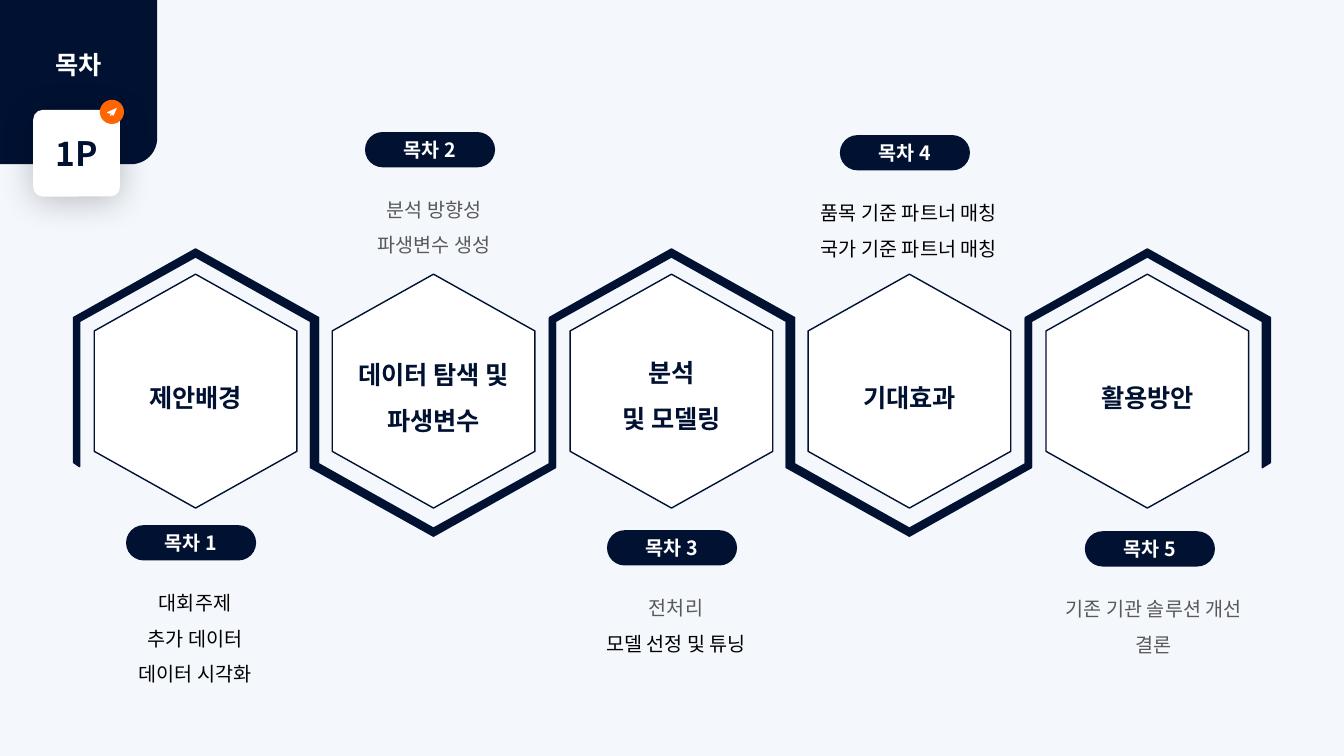
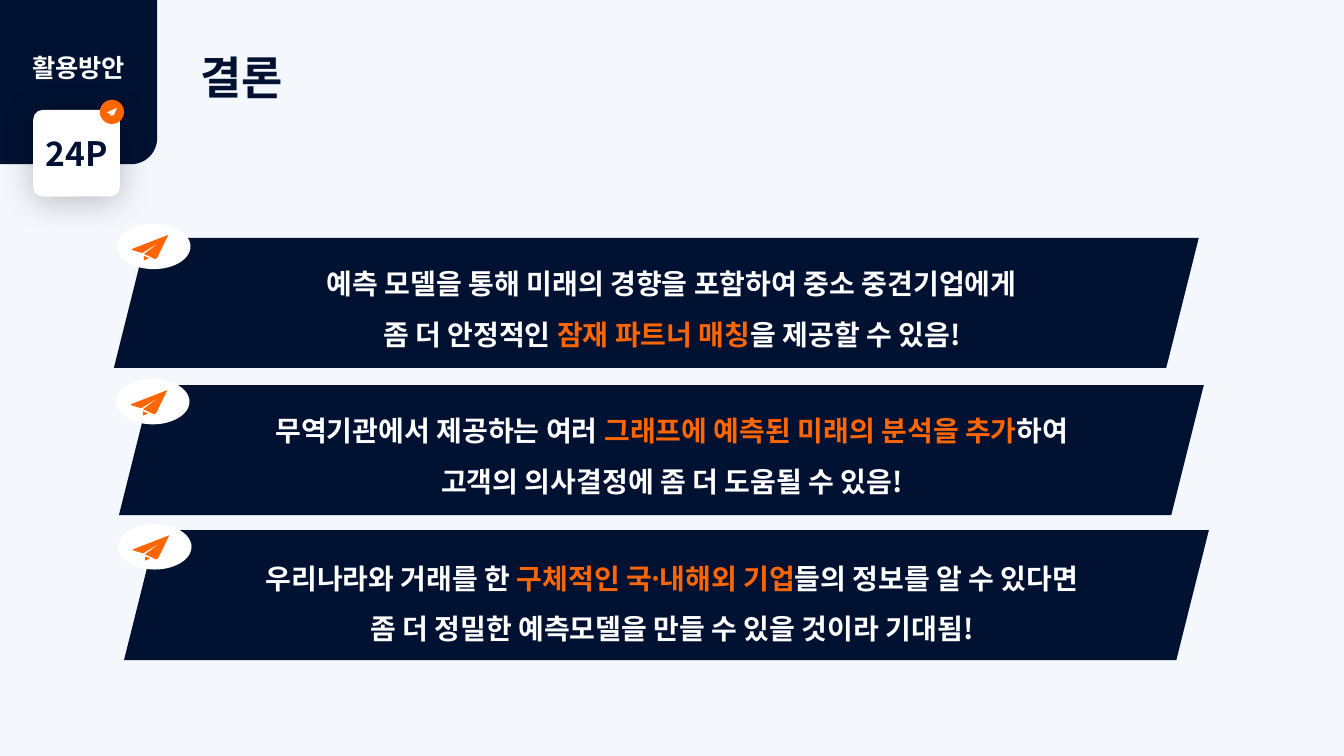
from lxml.etree import SubElement
from pptx import Presentation
from pptx.dml.color import RGBColor
from pptx.enum.shapes import MSO_SHAPE
from pptx.enum.text import MSO_ANCHOR, MSO_AUTO_SIZE, PP_ALIGN
from pptx.oxml.ns import qn
from pptx.util import Inches, Pt

COLORS = {
    "background": "F4F7FC",
    "navy": "011132",
    "orange": "FF6600",
    "white": "FFFFFF",
    "black": "000000",
    "gray": "595959",
}
FONT = "Noto Sans CJK KR"

# Agenda geometry
FIRST_CENTER, PITCH = 1.94, 2.36
HEXAGON_WIDTH, HEXAGON_HEIGHT, HEXAGON_MIDDLE = 2.32, 2.01, 3.88
UPPER_APEX, LOWER_APEX = 2.47, 5.32
FRAME_OUTLINE = [
    (0, 0), (1.22, 0.68), (1.22, 2.12), (1.14, 2.17), (1.14, 0.72),
    (0, 0.08), (-1.15, 0.72), (-1.15, 2.16), (-1.21, 2.12), (-1.21, 0.68),
]

# Paper plane outlines, as fractions of its box
PLANE_TAIL = [(0.33, 0.84), (0.47, 0.92), (0.36, 1), (0.33, 1)]
PLANE_WINGS = [
    (1, 0), (0.69, 0.92), (0.64, 0.96), (0.33, 0.76),
    (0.78, 0.28), (0.28, 0.72), (0, 0.6), (0, 0.56),
]

# Heading, top of heading, (left, top) of pill, items, colours of items
AGENDA = [
    (["제안배경"], 3.59, (1.25, 5.21),
     ["대회주제", "추가 데이터", "데이터 시각화"], ["black"] * 3),
    (["데이터 탐색 및 파생변수"], 3.37, (3.62, 1.31),
     ["분석 방향성", "파생변수 생성"], ["gray"] * 2),
    (["분석", "및 모델링"], 3.35, (6.02, 5.26),
     ["전처리", "모델 선정 및 튜닝"], ["gray", "black"]),
    (["기대효과"], 3.59, (8.33, 1.34),
     ["품목 기준 파트너 매칭", "국가 기준 파트너 매칭"], ["black"] * 2),
    (["활용방안"], 3.59, (10.76, 5.27),
     ["기존 기관 솔루션 개선", "결론"], ["gray"] * 2),
]

# (left, top) of banner, (left, top) of badge, top of text, lines
CONCLUSIONS = [
    ((1.13, 2.36), (1.16, 2.22), 2.43, [
        "예측 모델을 통해 미래의 경향을 포함하여 중소 중견기업에게",
        [("좀 더 안정적인 ", "white"), ("잠재 파트너 매칭", "orange"),
         ("을 제공할 수 있음!", "white")],
    ]),
    ((1.18, 3.82), (1.15, 3.76), 3.89, [
        [("무역기관에서 제공하는 여러 ", "white"),
         ("그래프에 예측된 미래의 분석을 추가", "orange"), ("하여", "white")],
        "고객의 의사결정에 좀 더 도움될 수 있음!",
    ]),
    ((1.23, 5.26), (1.17, 5.2), 5.35, [
        [("우리나라와 거래를 한 ", "white"),
         ("구체적인 국내〮해외 기업", "orange"),
         ("들의 정보를 알 수 있다면", "white")],
        "좀 더 정밀한 예측모델을 만들 수 있을 것이라 기대됨!",
    ]),
]


def rgb(name):
    return RGBColor.from_string(COLORS[name])


def write_lines(frame, lines, size, color, bold=True,
                align=PP_ALIGN.CENTER, spacing=None):
    """Write one paragraph per line; a line is a string or coloured runs."""
    for number, line in enumerate(lines):
        paragraph = frame.paragraphs[0] if number == 0 else frame.add_paragraph()
        paragraph.alignment = align
        if spacing:
            paragraph.line_spacing = spacing
        font = paragraph.font
        font.name, font.size, font.bold = FONT, Pt(size), bold
        font.color.rgb = rgb(color)
        # Korean glyphs take the East Asian typeface
        defaults = paragraph._p.get_or_add_pPr().find(qn("a:defRPr"))
        SubElement(defaults, qn("a:ea"), typeface=FONT)
        if isinstance(line, str):
            paragraph.add_run().text = line
            continue
        for text, run_color in line:
            run = paragraph.add_run()
            run.text = text
            run.font.color.rgb = rgb(run_color)


def paint(shape, fill, line=None):
    shape.shadow.inherit = False
    shape.fill.solid()
    shape.fill.fore_color.rgb = rgb(fill)
    if line:
        shape.line.color.rgb = rgb(line)
        shape.line.width = Pt(1)
    else:
        shape.line.fill.background()
    return shape


def add_block(slide, kind, left, top, width, height, fill, line=None):
    shape = slide.shapes.add_shape(
        kind, Inches(left), Inches(top), Inches(width), Inches(height))
    return paint(shape, fill, line)


def add_text(slide, left, top, width, height, lines, size, color, **style):
    box = slide.shapes.add_textbox(
        Inches(left), Inches(top), Inches(width), Inches(height))
    box.text_frame.word_wrap = True
    write_lines(box.text_frame, lines, size, color, **style)


def add_outline(slide, contours, fill, line=None):
    builder = None
    for contour in contours:
        start, *rest = [(Inches(x), Inches(y)) for x, y in contour]
        if builder is None:
            builder = slide.shapes.build_freeform(*start)
        else:
            builder.move_to(*start)
        builder.add_line_segments(rest, close=True)
    return paint(builder.convert_to_shape(), fill, line)


def add_plane(slide, left, top, width, height, fill):
    contours = [[(left + x * width, top + y * height) for x, y in part]
                for part in (PLANE_TAIL, PLANE_WINGS)]
    add_outline(slide, contours, fill)


def add_soft_shadow(shape):
    effects = shape.element.spPr.find(qn("a:effectLst"))
    shadow = SubElement(effects, qn("a:outerShdw"), blurRad=str(Pt(25)),
                        dist=str(Pt(3)), dir="5400000", algn="t",
                        rotWithShape="0")
    shade = SubElement(shadow, qn("a:srgbClr"), val=COLORS["black"])
    SubElement(shade, qn("a:alpha"), val="24000")


def place_title(slide, left, top, width, height, text, size, color, **style):
    title = slide.shapes.title
    title.left, title.top = Inches(left), Inches(top)
    title.width, title.height = Inches(width), Inches(height)
    frame = title.text_frame
    frame.auto_size = MSO_AUTO_SIZE.NONE
    frame.vertical_anchor = MSO_ANCHOR.TOP
    write_lines(frame, [text], size, color, **style)
    # Bring the title in front of the corner panel
    title.element.getparent().append(title.element)


def add_corner(slide, page):
    """Navy corner panel with the page tile and its orange badge."""
    panel = add_block(slide, MSO_SHAPE.ROUND_1_RECTANGLE, 0, 0, 1.56, 1.63, "navy")
    panel.element.spPr.xfrm.set("flipV", "1")
    tile = add_block(slide, MSO_SHAPE.ROUNDED_RECTANGLE,
                     0.33, 1.09, 0.86, 0.86, "white")
    tile.adjustments[0] = 0.11
    add_soft_shadow(tile)
    tile.text_frame.word_wrap = False
    write_lines(tile.text_frame, [page], 24, "navy")
    add_block(slide, MSO_SHAPE.OVAL, 0.99, 0.99, 0.24, 0.24, "orange")
    add_plane(slide, 1.06, 1.07, 0.1, 0.08, "white")


def add_frame(slide, center, points_up):
    """Open hexagonal band around a heading, pointing up or down."""
    apex, sign = (UPPER_APEX, 1) if points_up else (LOWER_APEX, -1)
    outline = [(center + sign * x, apex + sign * y) for x, y in FRAME_OUTLINE]
    add_outline(slide, [outline], "navy", "navy")


def add_heading(slide, center, top, lines):
    hexagon = add_block(slide, MSO_SHAPE.HEXAGON, center - HEXAGON_WIDTH / 2,
                        HEXAGON_MIDDLE - HEXAGON_HEIGHT / 2,
                        HEXAGON_WIDTH, HEXAGON_HEIGHT, "white", "navy")
    hexagon.adjustments[0] = 0.28
    hexagon.rotation = 270
    add_text(slide, center - 0.91, top, 1.82, 0.95, lines, 18, "navy", spacing=1.5)


def add_section(slide, number, left, top, items, colors):
    """Numbered pill with its list of items below."""
    pill = add_block(slide, MSO_SHAPE.ROUNDED_RECTANGLE, left, top, 1.29, 0.35, "navy")
    pill.adjustments[0] = 0.5
    write_lines(pill.text_frame, [f"목차 {number}"], 14, "white")
    lines = [[pair] for pair in zip(items, colors)]
    add_text(slide, left - 0.55, top + 0.49, 2.47, 0.37 * len(items) + 0.02,
             lines, 14, "black", bold=False, spacing=1.5)


def add_conclusion(slide, banner, badge, text_top, lines):
    add_block(slide, MSO_SHAPE.PARALLELOGRAM, *banner, 10.76, 1.29, "navy")
    add_text(slide, 0, text_top, 13.33, 1.05, lines, 20, "white", spacing=1.5)
    left, top = badge
    add_block(slide, MSO_SHAPE.OVAL, left, top, 0.73, 0.45, "white")
    add_plane(slide, left + 0.15, top + 0.11, 0.36, 0.25, "orange")


def build_agenda(slide):
    add_corner(slide, "1P")
    place_title(slide, 0, 0.44, 1.56, 0.4, "목차", 18, "white")
    centers = [FIRST_CENTER + PITCH * index for index in range(len(AGENDA))]
    # Downward bands lie behind the upward ones
    for first in (1, 0):
        for center in centers[first::2]:
            add_frame(slide, center, points_up=first == 0)
    for number, (center, section) in enumerate(zip(centers, AGENDA), 1):
        heading, heading_top, pill, items, colors = section
        add_heading(slide, center, heading_top, heading)
        add_section(slide, number, *pill, items, colors)


def build_conclusion(slide):
    add_corner(slide, "24P")
    place_title(slide, 1.89, 0.18, 6.67, 0.8, "결론", 32, "navy",
                align=PP_ALIGN.LEFT, spacing=1.5)
    add_text(slide, 0, 0.47, 1.56, 0.4, ["활용방안"], 18, "white")
    for conclusion in CONCLUSIONS:
        add_conclusion(slide, *conclusion)


def main():
    deck = Presentation()
    deck.slide_width, deck.slide_height = Inches(13.33), Inches(7.5)
    backdrop = deck.slide_master.background.fill
    backdrop.solid()
    backdrop.fore_color.rgb = rgb("background")
    title_only = deck.slide_layouts[5]
    for build in (build_agenda, build_conclusion):
        build(deck.slides.add_slide(title_only))
    deck.save("out.pptx")


if __name__ == "__main__":
    main()
